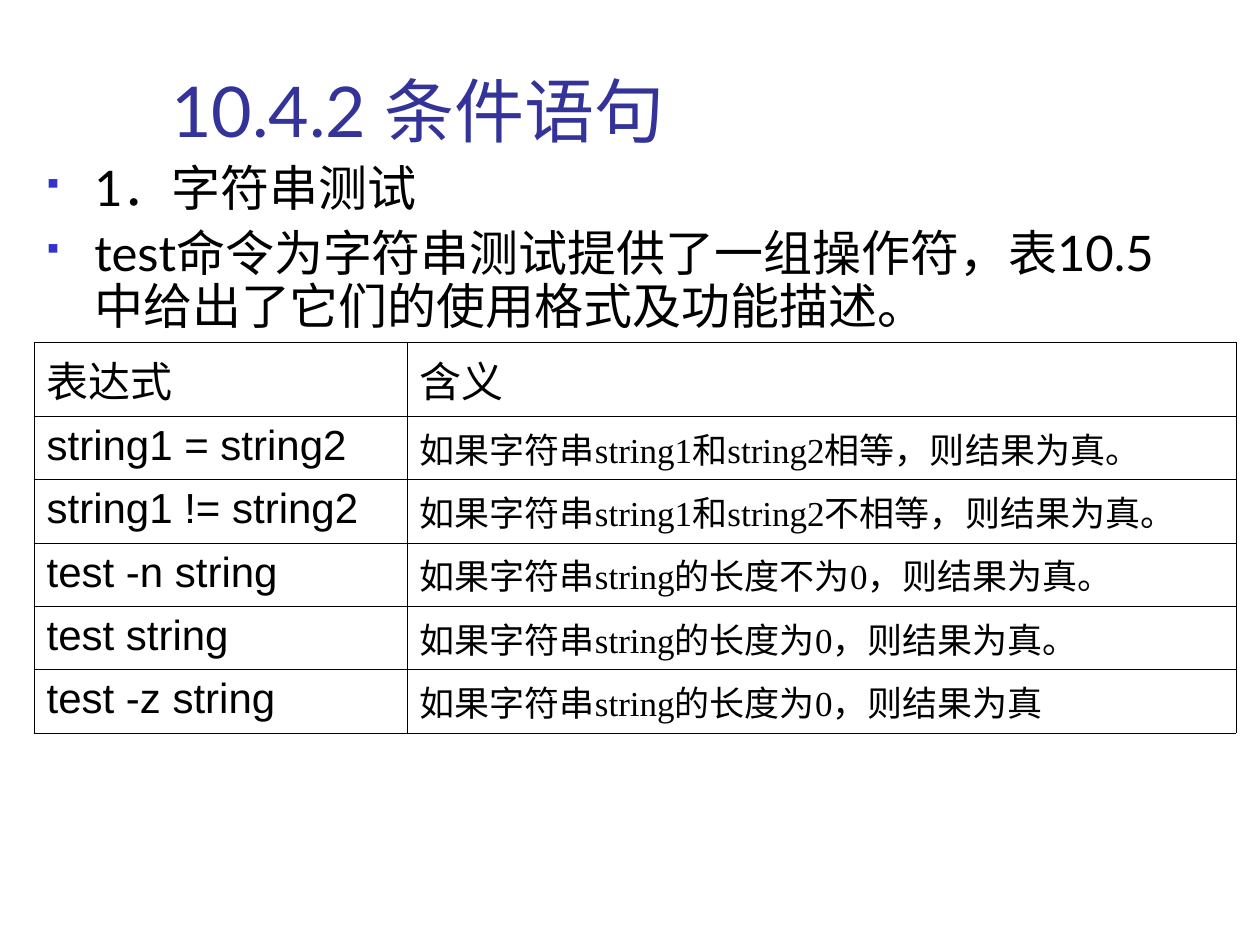
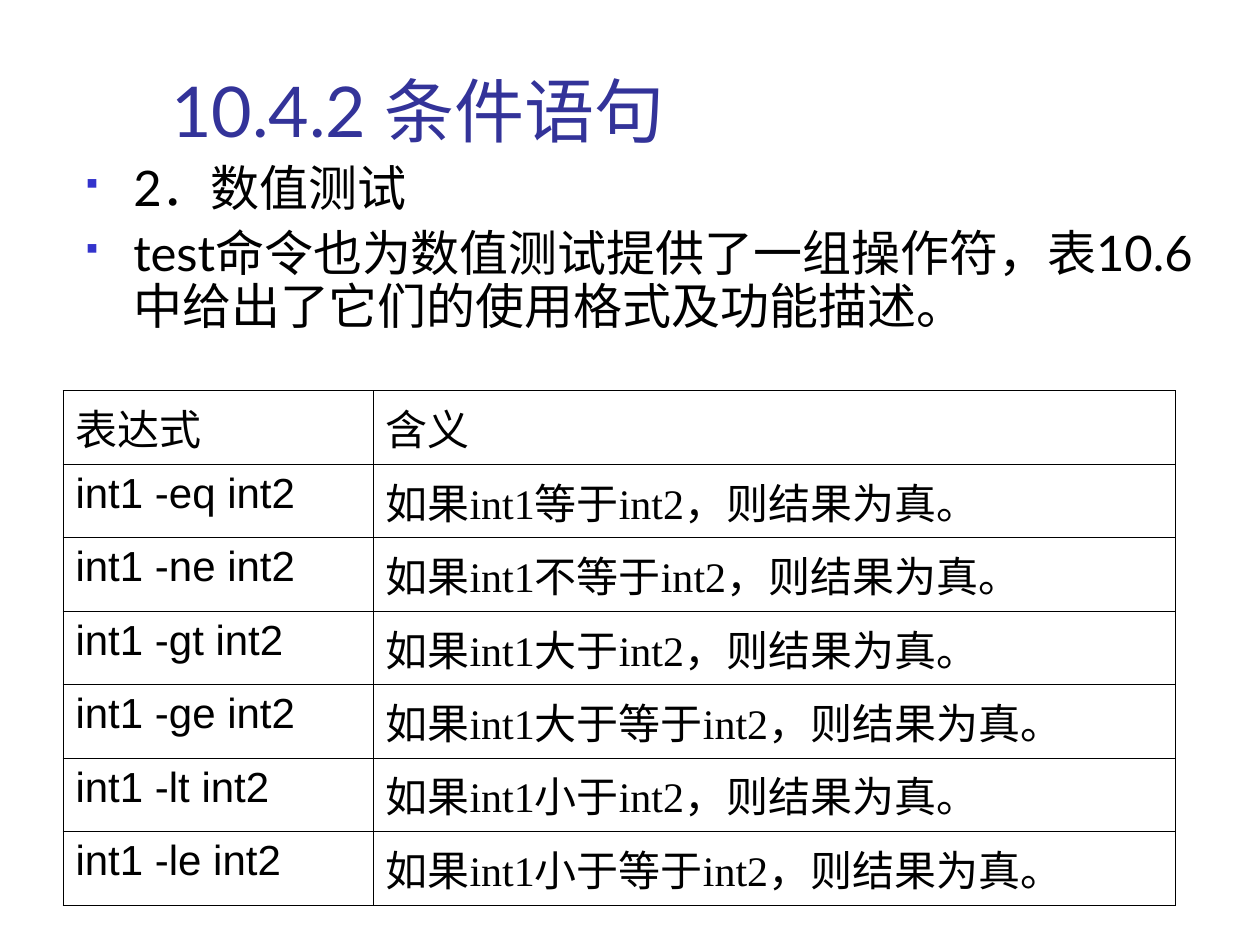
from lxml import etree
from pptx import Presentation
from pptx.dml.color import RGBColor
from pptx.enum.text import MSO_ANCHOR, PP_ALIGN
from pptx.oxml.ns import qn
from pptx.util import Inches, Pt

TOP, BOTTOM = MSO_ANCHOR.TOP, MSO_ANCHOR.BOTTOM
LEFT = PP_ALIGN.LEFT

COLORS = {"title": "333399", "bullet": "3333CC", "text": "000000", "border": "000000"}
HEADING_FONT, CODE_FONT, CELL_FONT = "Lato", "Arial", "Times New Roman"
BULLET_FONT, BULLET_SQUARE = "Wingdings", "§"
HANGING = Inches(0.38)
HEADER_SIZE = 24
ROW_HEIGHTS = {20: Pt(36.2), 24: Pt(42)}  # by text size of the meaning column
HEADER = ("表达式", "含义")

STRING_TESTS = [
    ("string1 = string2", "如果字符串string1和string2相等，则结果为真。"),
    ("string1 != string2", "如果字符串string1和string2不相等，则结果为真。"),
    ("test -n string", "如果字符串string的长度不为0，则结果为真。"),
    ("test string", "如果字符串string的长度为0，则结果为真。"),
    ("test -z string", "如果字符串string的长度为0，则结果为真"),
]
COMPARISONS = {"eq": "等于", "ne": "不等于", "gt": "大于",
               "ge": "大于等于", "lt": "小于", "le": "小于等于"}
NUMBER_TESTS = [(f"int1 -{option} int2", f"如果int1{relation}int2，则结果为真。")
                for option, relation in COMPARISONS.items()]


class SlideBuilder:
    """Holds the deck's style and the slide being filled."""

    def __init__(self):
        self.deck = Presentation()
        self.deck.slide_width, self.deck.slide_height = Inches(10), Inches(7.5)
        self.page = None

    def new_page(self):
        self.page = self.deck.slides.add_slide(self.deck.slide_layouts[6])
        self.title("10.4.2 条件语句")

    def text_frame(self, left, top, width, height, anchor):
        box = self.page.shapes.add_textbox(
            Inches(left), Inches(top), Inches(width), Inches(height))
        frame = box.text_frame
        frame.word_wrap = True
        frame.vertical_anchor = anchor
        return frame

    def span(self, para, text, size, font, color="text"):
        para.alignment = LEFT
        span = para.add_run()
        span.text = text
        span.font.size = Pt(size)
        span.font.name = font
        span.font.color.rgb = RGBColor.from_string(COLORS[color])

    def hang(self, para):
        properties = para._p.get_or_add_pPr()
        properties.set("marL", str(HANGING))
        properties.set("indent", str(-HANGING))
        return properties

    def title(self, text):
        frame = self.text_frame(1.26, 0.59, 7.57, 0.66, BOTTOM)
        self.span(frame.paragraphs[0], text, 40, HEADING_FONT, "title")

    def bullets(self, left, width, height, lines):
        frame = self.text_frame(left, 1.25, width, height, TOP)
        for index, line in enumerate(lines):
            para = frame.add_paragraph() if index else frame.paragraphs[0]
            properties = self.hang(para)
            color = etree.SubElement(properties, qn("a:buClr"))
            etree.SubElement(color, qn("a:srgbClr"), val=COLORS["bullet"])
            etree.SubElement(properties, qn("a:buSzPct"), val="60000")
            etree.SubElement(properties, qn("a:buFont"), typeface=BULLET_FONT, charset="2")
            etree.SubElement(properties, qn("a:buChar"), char=BULLET_SQUARE)
            para.line_spacing = 0.9
            if index:
                para.space_before = Pt(7)
            self.span(para, line, 28, HEADING_FONT)

    def borders(self, cell):
        properties = cell._tc.get_or_add_tcPr()
        for side in ("lnL", "lnR", "lnT", "lnB"):
            line = etree.SubElement(properties, qn(f"a:{side}"), w=str(Pt(0.45)))
            fill = etree.SubElement(line, qn("a:solidFill"))
            etree.SubElement(fill, qn("a:srgbClr"), val=COLORS["border"])

    def table(self, left, top, widths, tests, meaning_size):
        rows = [HEADER, *tests]
        heights = [ROW_HEIGHTS[HEADER_SIZE]] + [ROW_HEIGHTS[meaning_size]] * len(tests)
        table = self.page.shapes.add_table(
            len(rows), len(widths), Inches(left), Inches(top),
            Inches(sum(widths)), sum(heights)).table
        table.first_row = table.horz_banding = False
        for column, width in zip(table.columns, widths):
            column.width = Inches(width)
        for row_index, texts in enumerate(rows):
            table.rows[row_index].height = heights[row_index]
            for column_index, text in enumerate(texts):
                cell = table.cell(row_index, column_index)
                self.borders(cell)
                cell.fill.background()
                para = cell.text_frame.paragraphs[0]
                self.hang(para)
                font = CODE_FONT if row_index and not column_index else CELL_FONT
                size = meaning_size if row_index and column_index else HEADER_SIZE
                self.span(para, text, size, font)


def main():
    builder = SlideBuilder()

    # String tests
    builder.new_page()
    builder.bullets(0.27, 9.37, 1.48, [
        "1．字符串测试",
        "test命令为字符串测试提供了一组操作符，表10.5中给出了它们的使用格式及功能描述。"])
    builder.table(0.27, 2.72, (2.96, 6.58), STRING_TESTS, 20)

    # Number tests
    builder.new_page()
    builder.bullets(0.58, 9.06, 1.63, [
        "2．数值测试",
        "test命令也为数值测试提供了一组操作符，表10.6中给出了它们的使用格式及功能描述。"])
    builder.table(0.5, 3.1, (2.46, 6.37), NUMBER_TESTS, 24)

    builder.deck.save("out.pptx")


if __name__ == "__main__":
    main()
